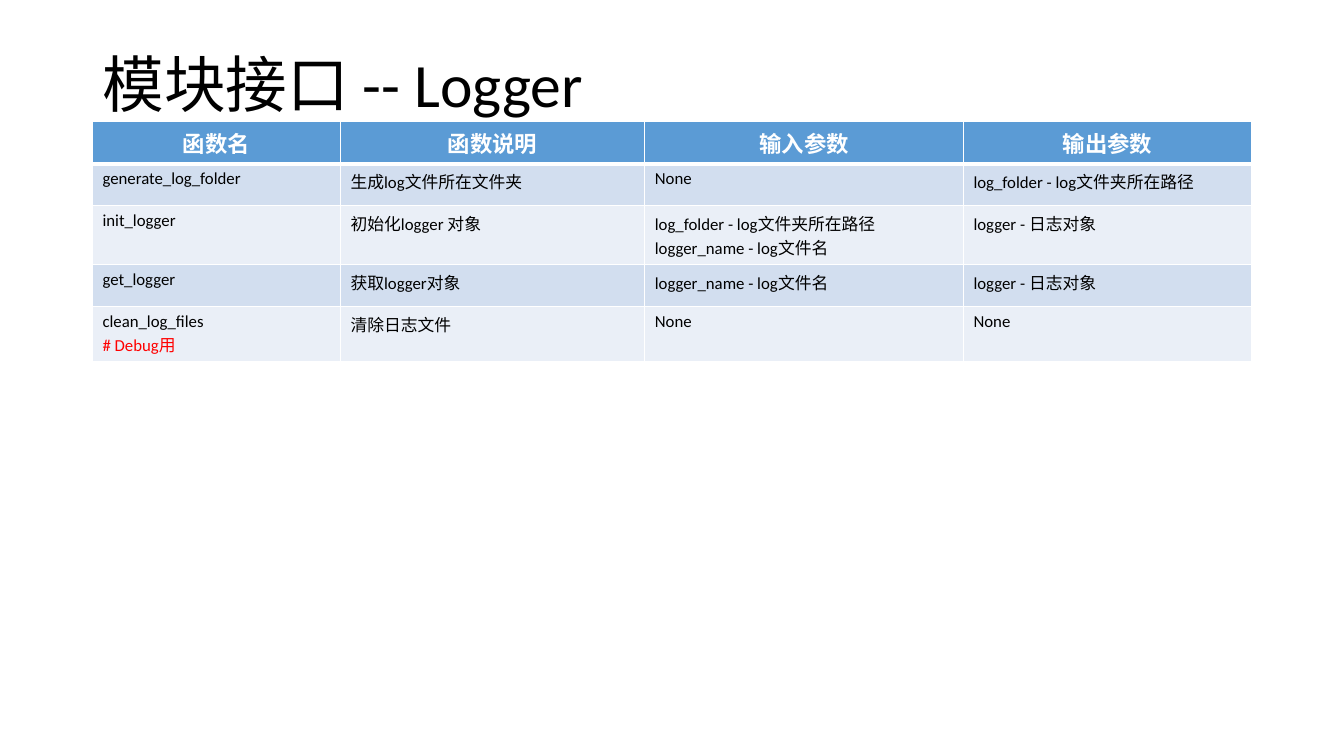
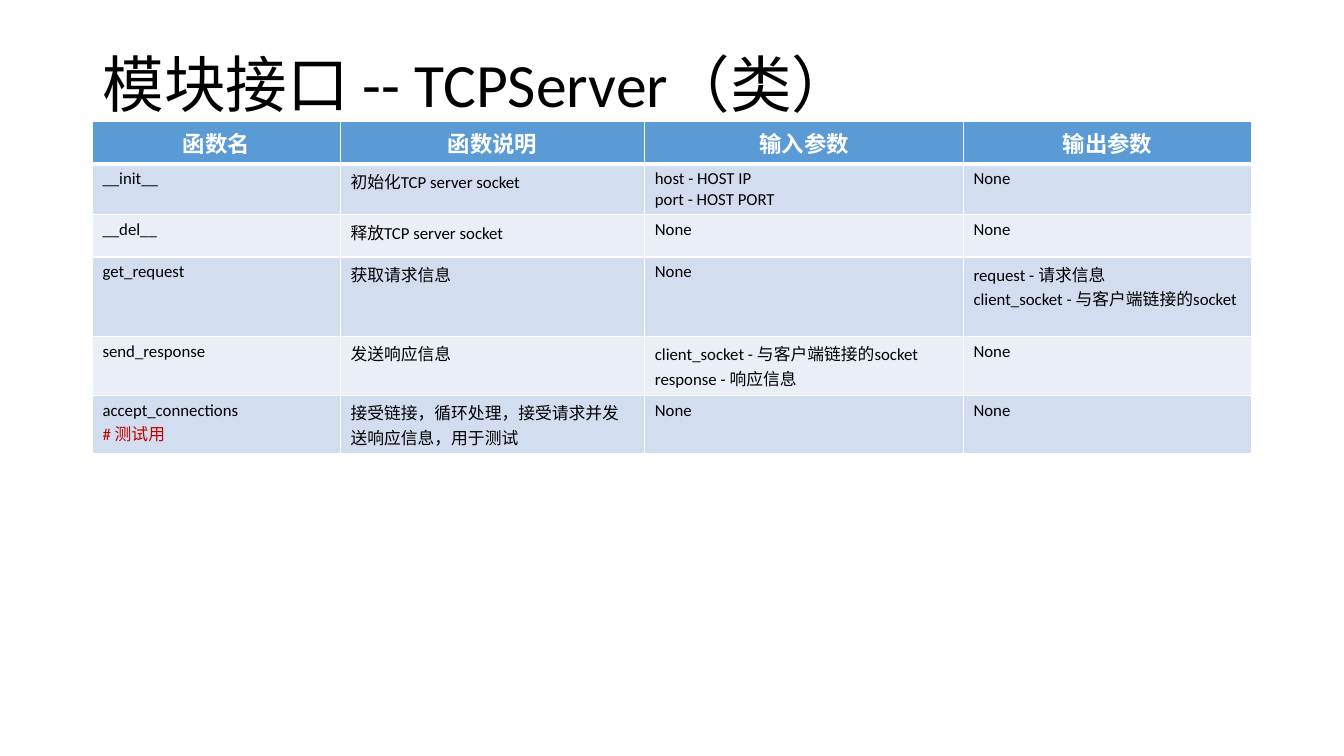
from pptx import Presentation
from pptx import util as u
from pptx.dml.color import RGBColor
from pptx.enum import lang, text
from pptx.oxml import parse_xml
from pptx.oxml.ns import nsdecls

BLACK = RGBColor(0x00, 0x00, 0x00)
WHITE = RGBColor(0xFF, 0xFF, 0xFF)
HEADER_BLUE = RGBColor(0x5B, 0x9B, 0xD5)
BAND_DARK = RGBColor(0xD2, 0xDE, 0xEF)
BAND_LIGHT = RGBColor(0xEA, 0xEF, 0xF7)
RED = RGBColor(0xFF, 0x00, 0x00)
DARK_RED = RGBColor(0xC0, 0x00, 0x00)

# Shared formats
FONT = {"name": "Calibri", "language_id": lang.MSO_LANGUAGE_ID.SIMPLIFIED_CHINESE}
TITLE_FONT = {**FONT, "size": u.Pt(44), "bold": False}
HEADER_FONT = {**FONT, "size": u.Pt(16), "bold": True}
BODY_FONT = {**FONT, "size": u.Pt(12), "bold": False}
TITLE_PLACE = {"left": u.Cm(2.33), "top": u.Cm(0.37),
               "width": u.Cm(29.21), "height": u.Cm(3.68)}
TITLE_FRAME = {"word_wrap": True, "auto_size": text.MSO_AUTO_SIZE.NONE,
               "vertical_anchor": text.MSO_ANCHOR.MIDDLE}
TITLE_PARA = {"alignment": text.PP_ALIGN.LEFT, "line_spacing": 0.9}
COLUMN_WIDTHS = [6.25, 7.67, 8.03, 7.26]
ROW_HEIGHT = 1.06
HEADERS = ["函数名", "函数说明", "输入参数", "输出参数"]

# Slide contents: title, colour of "#" remarks, table rows
PAGES = [
    ("模块接口 -- Logger", RED, [
        ["generate_log_folder", "生成log文件所在文件夹", "None",
         "log_folder - log文件夹所在路径"],
        ["init_logger", "初始化logger 对象",
         "log_folder - log文件夹所在路径\nlogger_name - log文件名", "logger - 日志对象"],
        ["get_logger", "获取logger对象", "logger_name - log文件名", "logger - 日志对象"],
        ["clean_log_files\n# Debug用", "清除日志文件", "None", "None"],
    ]),
    ("模块接口 -- TCPServer（类）", DARK_RED, [
        ["__init__", "初始化TCP server socket", "host - HOST IP\nport - HOST PORT", "None"],
        ["__del__", "释放TCP server socket", "None", "None"],
        ["get_request", "获取请求信息", "None",
         "request - 请求信息\nclient_socket - 与客户端链接的socket"],
        ["send_response", "发送响应信息",
         "client_socket - 与客户端链接的socket\nresponse - 响应信息", "None"],
        ["accept_connections\n# 测试用",
         "接受链接，循环处理，接受请求并发送响应信息，用于测试", "None", "None"],
    ]),
]


def apply_format(target, values):
    for name, value in values.items():
        setattr(target, name, value)


def add_borders(cell, top, bottom):
    properties = cell._tc.get_or_add_tcPr()
    for side, points in {"L": 1, "R": 1, "T": top, "B": bottom}.items():
        properties.append(parse_xml(
            f'<a:ln{side} {nsdecls("a")} w="{u.Pt(points)}"><a:solidFill>'
            f'<a:srgbClr val="{WHITE}"/></a:solidFill></a:ln{side}>'))


deck = Presentation()
deck.slide_width, deck.slide_height = u.Cm(33.87), u.Cm(19.05)
title_only = deck.slide_layouts[5]

for title, remark_color, rows in PAGES:
    page = deck.slides.add_slide(title_only)

    # Title
    box = page.shapes.title
    apply_format(box, TITLE_PLACE)
    apply_format(box.text_frame, TITLE_FRAME)
    box.text_frame.text = title
    para = box.text_frame.paragraphs[0]
    apply_format(para, TITLE_PARA)
    span = para.runs[0]
    apply_format(span.font, TITLE_FONT)
    span.font.color.rgb = BLACK

    # Interface table
    lines = [HEADERS, *rows]
    table = page.shapes.add_table(
        len(lines), len(HEADERS), u.Cm(2.33), u.Cm(3.06),
        u.Cm(sum(COLUMN_WIDTHS)), u.Cm(ROW_HEIGHT * len(lines))).table
    for column, width in zip(table.columns, COLUMN_WIDTHS):
        column.width = u.Cm(width)

    for row_index, line in enumerate(lines):
        is_header = row_index == 0
        table.rows[row_index].height = u.Cm(ROW_HEIGHT)
        band = BAND_DARK if row_index % 2 else BAND_LIGHT
        for column_index, words in enumerate(line):
            cell = table.cell(row_index, column_index)
            add_borders(cell, top=3 if row_index == 1 else 1, bottom=3 if is_header else 1)
            cell.fill.solid()
            cell.fill.fore_color.rgb = HEADER_BLUE if is_header else band
            cell.text = words
            for para in cell.text_frame.paragraphs:
                para.alignment = text.PP_ALIGN.CENTER if is_header else text.PP_ALIGN.LEFT
                span = para.runs[0]
                apply_format(span.font, HEADER_FONT if is_header else BODY_FONT)
                body_color = remark_color if span.text.startswith("#") else BLACK
                span.font.color.rgb = WHITE if is_header else body_color

deck.save("out.pptx")
